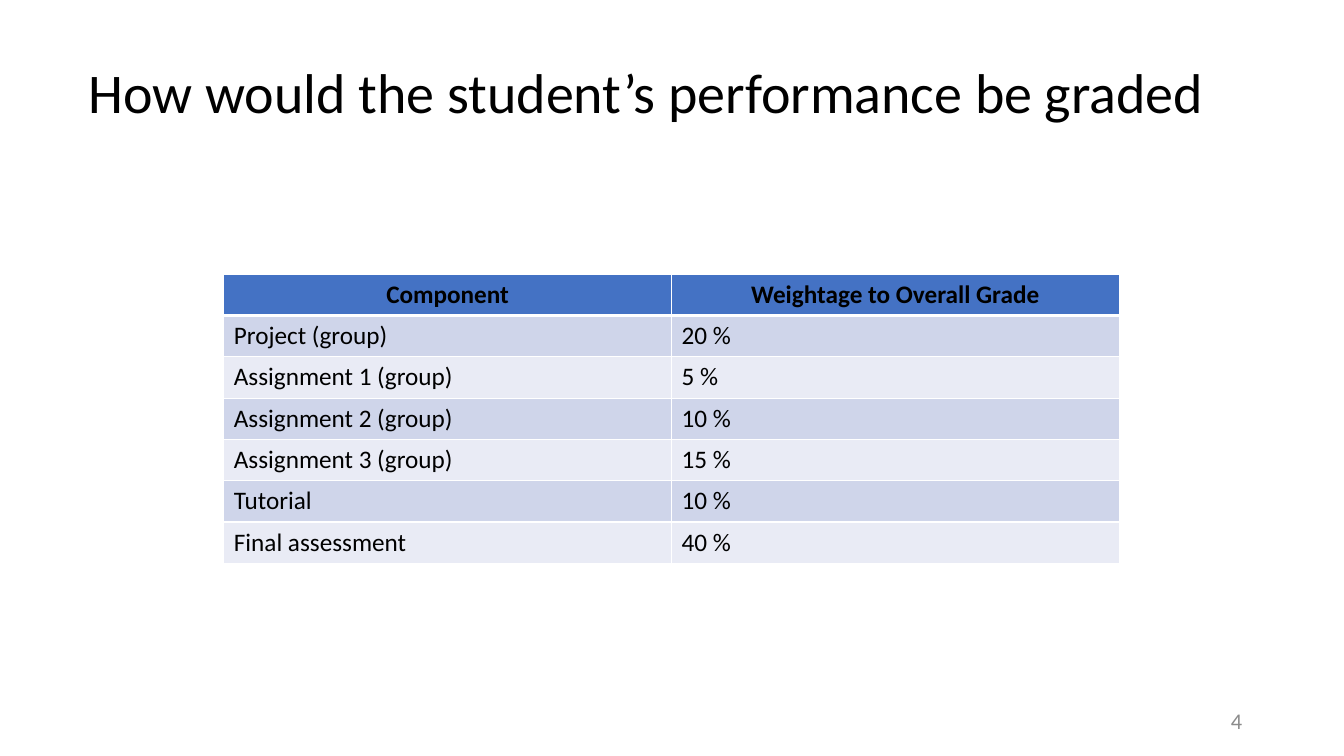
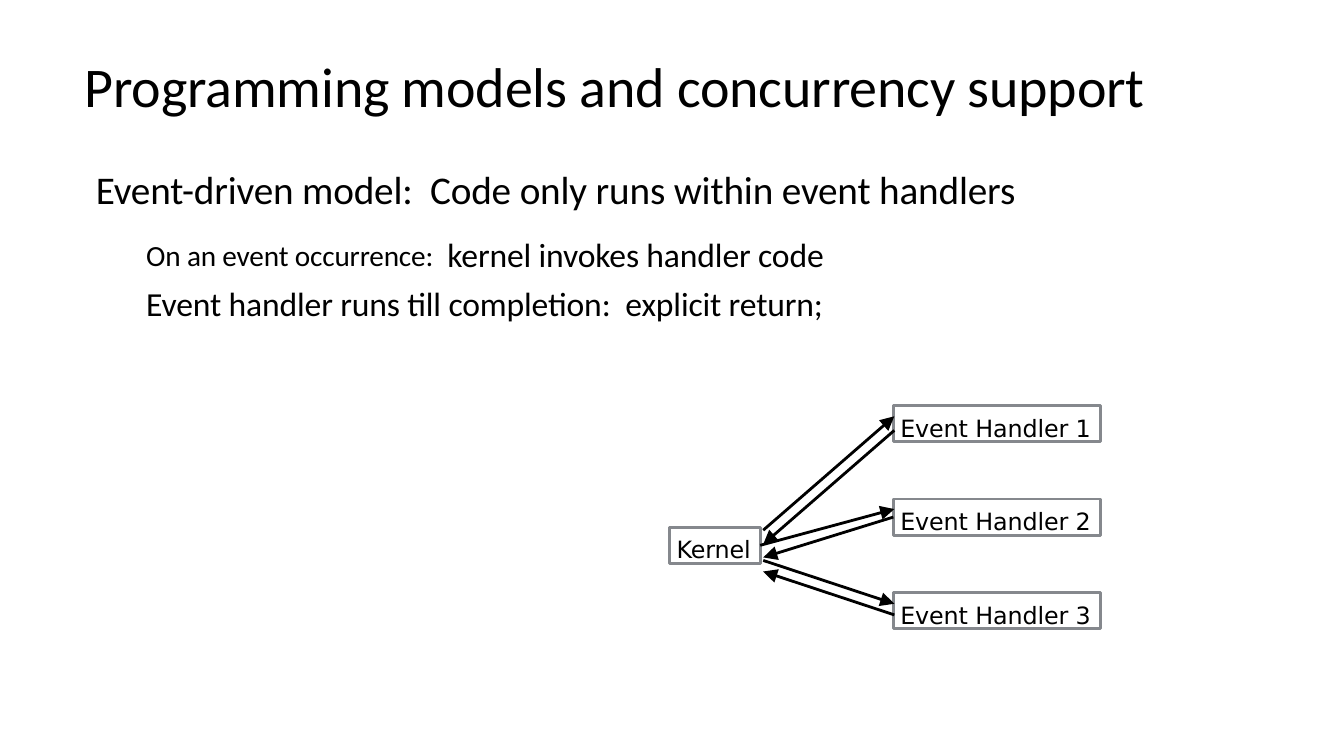
from dataclasses import dataclass
from typing import Any

import pptx
import pptx.dml.color
import pptx.enum.dml
import pptx.enum.shapes
import pptx.enum.text
import pptx.oxml
import pptx.oxml.ns
import pptx.util

Inches = pptx.util.Inches
Pt = pptx.util.Pt
RGBColor = pptx.dml.color.RGBColor
ALIGN = pptx.enum.text.PP_ALIGN
ANCHOR = pptx.enum.text.MSO_ANCHOR

BLACK = RGBColor(0x00, 0x00, 0x00)
WHITE = RGBColor(0xFF, 0xFF, 0xFF)
PAGE_GRAY = RGBColor(0x8C, 0x8C, 0x8C)
BOX_GRAY = RGBColor(0x85, 0x88, 0x8D)
HEADER_BLUE = RGBColor(0x44, 0x72, 0xC4)
BANDS = (RGBColor(0xCF, 0xD5, 0xEA), RGBColor(0xE9, 0xEB, 0xF5))

BODY_FONT = "Calibri"
BOX_FONT = "DejaVu Sans"
TIGHT = -0.1

GRADES = (
    ("Component", "Weightage to Overall Grade"),
    ("Project (group)", "20 %"),
    ("Assignment 1 (group)", "5 %"),
    ("Assignment 2 (group)", "10 %"),
    ("Assignment 3 (group)", "15 %"),
    ("Tutorial", "10 %"),
    ("Final assessment", "40 %"),
)
COL_WIDTH, ROW_HEIGHT = 4.44, 0.41


@dataclass(frozen=True)
class Box:
    left: float
    top: float
    width: float
    height: float

    def lengths(self) -> tuple[int, int, int, int]:
        return (Inches(self.left), Inches(self.top),
                Inches(self.width), Inches(self.height))


@dataclass(frozen=True)
class Run:
    text: str
    size: float
    baseline: int = 0


@dataclass(frozen=True)
class Call:
    """Heights of a call arrow's ends, and the drop to its return arrow."""
    kernel_y: float
    handler_y: float
    drop: float


BODY_LINES = (
    (Run("Event-driven model:  Code only runs within event handlers", 28),),
    (Run("\tOn an event occurrence: ", 36, 3),
     Run(" kernel invokes handler code", 24)),
    (Run("\tEvent handler runs till completion:  explicit return;", 24),),
)

KERNEL = Box(6.64, 5.23, 0.9, 0.36)
HANDLER_LEFT, HANDLER_TOP, HANDLER_PITCH = 8.86, 4.02, 0.93
CALL_LEFT, CALL_RIGHT = 7.57, 8.87
CALLS = (Call(5.26, 4.13, 0.14), Call(5.43, 5.05, 0.1), Call(5.56, 5.99, 0.11))


def add_text(p: Any, text: str, *, size: float, font: str = BODY_FONT,
             color: RGBColor = BLACK, bold: bool = False,
             spacing: float = 0, baseline: int = 0) -> None:
    """Append a run; spacing is in points and baseline in percent."""
    r = p.add_run()
    r.text = text
    r.font.size = Pt(size)
    r.font.name = font
    r.font.bold = bold
    r.font.color.rgb = color
    props = r.font._element
    if spacing:
        props.set("spc", str(round(spacing * 100)))
    if baseline:
        props.set("baseline", str(baseline * 1000))


def set_indent(p: Any, left: float) -> None:
    props = p._p.get_or_add_pPr()
    props.set("marL", str(Inches(left)))
    props.set("indent", "0")


def set_frame(tf: Any, anchor: Any, top_inset: float | None = None) -> None:
    """Set wrapping and anchor; a top inset also clears the other insets."""
    tf.word_wrap = True
    tf.auto_size = pptx.enum.text.MSO_AUTO_SIZE.NONE
    tf.vertical_anchor = anchor
    if top_inset is not None:
        tf.margin_left = tf.margin_right = tf.margin_bottom = 0
        tf.margin_top = Inches(top_inset)


def place(sp: Any, box: Box) -> None:
    sp.left, sp.top, sp.width, sp.height = box.lengths()


def add_title(slide: Any, text: str, box: Box, spacing: float = 0) -> Any:
    sp = slide.shapes.title
    place(sp, box)
    p = sp.text_frame.paragraphs[0]
    p.alignment = ALIGN.LEFT
    add_text(p, text, size=40, spacing=spacing)
    return sp.text_frame


def set_borders(cell: Any, bottom: float) -> None:
    props = cell._tc.get_or_add_tcPr()
    sides = (("lnL", 1), ("lnR", 1), ("lnT", 1), ("lnB", bottom))
    for i, (side, width) in enumerate(sides):
        props.insert(i, pptx.oxml.parse_xml(
            f'<a:{side} {pptx.oxml.ns.nsdecls("a")} w="{Pt(width)}">'
            f'<a:solidFill><a:srgbClr val="{WHITE}"/></a:solidFill></a:{side}>'))


def add_grade_table(slide: Any) -> None:
    rows, cols = len(GRADES), len(GRADES[0])
    box = Box(2.22, 2.72, COL_WIDTH * cols, ROW_HEIGHT * rows)
    table = slide.shapes.add_table(rows, cols, *box.lengths()).table
    for col in table.columns:
        col.width = Inches(COL_WIDTH)
    for i, values in enumerate(GRADES):
        header = i == 0
        table.rows[i].height = Inches(ROW_HEIGHT)
        for j, value in enumerate(values):
            cell = table.cell(i, j)
            cell.fill.solid()
            cell.fill.fore_color.rgb = HEADER_BLUE if header else BANDS[(i - 1) % 2]
            set_borders(cell, bottom=3 if header else 1)
            p = cell.text_frame.paragraphs[0]
            p.alignment = ALIGN.CENTER if header else ALIGN.LEFT
            add_text(p, value, size=18, bold=header)


def add_page_number(slide: Any, number: int) -> None:
    sp = slide.shapes.add_textbox(*Box(9.42, 6.95, 3, 0.4).lengths())
    set_frame(sp.text_frame, ANCHOR.MIDDLE)
    p = sp.text_frame.paragraphs[0]
    p.alignment = ALIGN.RIGHT
    add_text(p, str(number), size=16, color=PAGE_GRAY)


def add_body(slide: Any) -> None:
    sp = slide.placeholders[1]
    place(sp, Box(0.94, 1.59, 11.4, 1.41))
    tf = sp.text_frame
    set_frame(tf, ANCHOR.TOP, 0.05)
    for i, runs in enumerate(BODY_LINES):
        p = tf.add_paragraph() if i else tf.paragraphs[0]
        set_indent(p, 0.01)
        p.space_before = Pt(3.5 if i else 0)
        for tag in ("<a:buNone {}/>",
                    f'<a:tabLst {{}}><a:tab pos="{Inches(0.4)}" algn="l"/></a:tabLst>'):
            p._p.get_or_add_pPr().append(
                pptx.oxml.parse_xml(tag.format(pptx.oxml.ns.nsdecls("a"))))
        for run in runs:
            add_text(p, run.text, size=run.size, baseline=run.baseline,
                     spacing=TIGHT)


def add_box(slide: Any, text: str, box: Box, inset: float) -> Any:
    sp = slide.shapes.add_shape(
        pptx.enum.shapes.MSO_SHAPE.RECTANGLE, *box.lengths())
    sp.shadow.inherit = False
    sp.fill.background()
    sp.line.color.rgb = BOX_GRAY
    sp.line.width = Pt(2)
    set_frame(sp.text_frame, ANCHOR.TOP, inset)
    p = sp.text_frame.paragraphs[0]
    p.alignment = ALIGN.LEFT
    set_indent(p, 0.07)
    add_text(p, text, size=17, font=BOX_FONT, spacing=TIGHT)
    return sp


def add_arrow(slide: Any, start: tuple[float, float], end: tuple[float, float],
              joined: Any = None, site: int = 0) -> None:
    """Draw an arrow, its start joined to a shape's connection site if given."""
    line = slide.shapes.add_connector(
        pptx.enum.shapes.MSO_CONNECTOR.STRAIGHT,
        *(Inches(v) for v in (*start, *end)))
    if joined is not None:
        line.begin_connect(joined, site)
    line.line.color.rgb = BLACK
    line.line.width = Pt(2)
    ns = pptx.oxml.ns.nsdecls("a")
    line.line._get_or_add_ln().append(pptx.oxml.parse_xml(
        f'<a:tailEnd {ns} type="triangle" w="lg" len="lg"/>'))
    line._element.spPr.append(pptx.oxml.parse_xml(f"<a:effectLst {ns}/>"))


def add_event_diagram(slide: Any) -> None:
    kernel = add_box(slide, "Kernel", KERNEL, 0.07)
    for i, call in enumerate(CALLS):
        box = Box(HANDLER_LEFT, HANDLER_TOP + i * HANDLER_PITCH, 2.06, 0.36)
        handler = add_box(slide, f"Event Handler {i + 1}", box, 0.08)
        middle = i == len(CALLS) // 2
        add_arrow(slide, (CALL_LEFT, call.kernel_y), (CALL_RIGHT, call.handler_y),
                  kernel if middle else None, 3)
        add_arrow(slide, (CALL_RIGHT, call.handler_y + call.drop),
                  (CALL_LEFT, call.kernel_y + call.drop),
                  handler if middle else None, 1)


def build_grading(prs: Any) -> None:
    slide = prs.slides.add_slide(prs.slide_layouts[5])
    tf = add_title(slide, "How would the student’s performance be graded",
                   Box(0.78, 0.22, 11.78, 1.45))
    set_frame(tf, ANCHOR.MIDDLE)
    tf.paragraphs[0].line_spacing = 0.9
    add_grade_table(slide)
    add_page_number(slide, 4)


def build_event_model(prs: Any) -> None:
    slide = prs.slides.add_slide(prs.slide_layouts[1])
    tf = add_title(slide, "Programming models and concurrency support",
                   Box(0.83, 0.5, 12.24, 0.69), TIGHT)
    set_frame(tf, ANCHOR.TOP, 0.01)
    set_indent(tf.paragraphs[0], 0.01)
    add_body(slide)
    add_event_diagram(slide)


def main() -> None:
    prs = pptx.Presentation()
    prs.slide_width, prs.slide_height = Inches(13.33), Inches(7.5)
    build_grading(prs)
    build_event_model(prs)
    prs.save("out.pptx")


if __name__ == "__main__":
    main()
